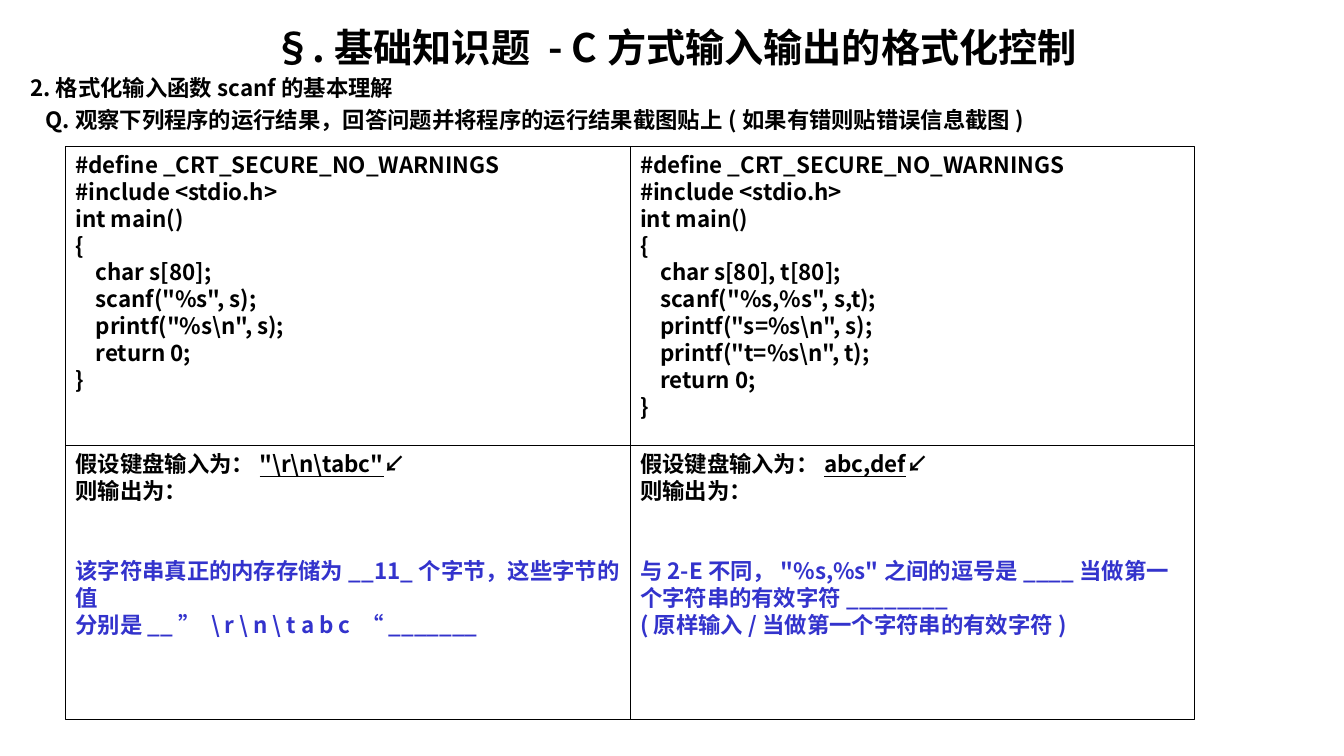
from dataclasses import dataclass

from lxml.etree import SubElement
from pptx import Presentation
from pptx.dml.color import RGBColor
from pptx.enum.shapes import MSO_SHAPE
from pptx.enum.text import MSO_ANCHOR, PP_ALIGN
from pptx.oxml.ns import qn
from pptx.util import Pt

PX = 9144


@dataclass(frozen=True)
class Theme:
    """Colours, font and type sizes of the slide."""
    font: str = "Noto Sans CJK SC"
    ink: RGBColor = RGBColor(0, 0, 0)
    accent: RGBColor = RGBColor(0x33, 0x33, 0xCC)
    title: int = 28
    body: int = 16
    rule: float = 0.75


THEME = Theme()

TITLE = "§.基础知识题 - C方式输入输出的格式化控制"
TOPIC = "2.格式化输入函数scanf的基本理解"
TASK = "Q.观察下列程序的运行结果，回答问题并将程序的运行结果截图贴上(如果有错则贴错误信息截图)"

SINGLE_CODE = r'''#define _CRT_SECURE_NO_WARNINGS
#include <stdio.h>
int main()
{
    char s[80];
    scanf("%s", s);
    printf("%s\n", s);
    return 0;
}'''

DOUBLE_CODE = r'''#define _CRT_SECURE_NO_WARNINGS
#include <stdio.h>
int main()
{
    char s[80], t[80];
    scanf("%s,%s", s,t);
    printf("s=%s\n", s);
    printf("t=%s\n", t);
    return 0;
}'''

PROGRAMS = [
    (SINGLE_CODE, r'"\r\n\tabc"',
     ["该字符串真正的内存存储为__11_个字节，这些字节的值",
      r"分别是__” \ r \ n \ t a b c “_______"]),
    (DOUBLE_CODE, "abc,def",
     ['与2-E不同，"%s,%s"之间的逗号是____当做第一个字符串的有效字符________',
      "(原样输入/当做第一个字符串的有效字符)"]),
]


def add_run(p, text, size=THEME.body, color=THEME.ink, underline=False):
    """Append one bold run to a paragraph."""
    r = p.add_run()
    r.text = text
    r.font.size = Pt(size)
    r.font.bold = True
    r.font.underline = underline
    r.font.color.rgb = color
    r.font.name = THEME.font
    SubElement(r.font._element, qn("a:ea")).set("typeface", THEME.font)


def next_paragraph(tf):
    """Return the empty first paragraph, or a new one."""
    p = tf.paragraphs[0] if not tf.paragraphs[0].runs else tf.add_paragraph()
    p.alignment = PP_ALIGN.LEFT
    return p


def add_heading(s, x, y, w, h):
    """Place the title, the topic and the task in the given box."""
    tf = s.shapes.add_textbox(x * PX, y * PX, w * PX, h * PX).text_frame
    tf.word_wrap = True
    lines = [(TITLE, THEME.title, PP_ALIGN.CENTER, 0),
             (TOPIC, THEME.body, PP_ALIGN.LEFT, 0),
             (TASK, THEME.body, PP_ALIGN.LEFT, 15)]
    for i, (text, size, align, indent) in enumerate(lines):
        p = next_paragraph(tf)
        p.alignment = align
        p._p.get_or_add_pPr().set("marL", str(indent * PX))
        if i:
            p.space_before = Pt(size * 0.2)
        add_run(p, text, size)


def add_cell(s, x, y, w, h):
    """Draw an outlined cell and return its text frame."""
    sp = s.shapes.add_shape(MSO_SHAPE.RECTANGLE, x * PX, y * PX, w * PX, h * PX)
    sp.shadow.inherit = False
    sp.fill.background()
    sp.line.color.rgb = THEME.ink
    sp.line.width = Pt(THEME.rule)
    tf = sp.text_frame
    tf.word_wrap = True
    tf.vertical_anchor = MSO_ANCHOR.TOP
    return tf


def add_code(s, code, x, y, w, h):
    """Fill a cell with program lines."""
    tf = add_cell(s, x, y, w, h)
    for line in code.split("\n"):
        add_run(next_paragraph(tf), line)


def add_question(s, typed, answers, x, y, w, h):
    """Fill a cell with the keyboard input and the answers."""
    tf = add_cell(s, x, y, w, h)
    p = next_paragraph(tf)
    add_run(p, "假设键盘输入为：")
    add_run(p, typed, underline=True)
    add_run(p, "↙")
    add_run(next_paragraph(tf), "则输出为：")
    for i, answer in enumerate(answers):
        p = next_paragraph(tf)
        if i == 0:
            p.space_before = Pt(38)
        add_run(p, answer, color=THEME.accent)


def add_programs(s, x, y, w, h):
    """Set the programs side by side, each above its question."""
    col = w // len(PROGRAMS)
    code_h = 297
    for i, (code, typed, answers) in enumerate(PROGRAMS):
        left = x + i * col
        add_code(s, code, left, y, col, code_h)
        add_question(s, typed, answers, left, y + code_h, col, h - code_h)


def main():
    """Build and save the slide."""
    prs = Presentation()
    prs.slide_width, prs.slide_height = 1333 * PX, 750 * PX
    s = prs.slides.add_slide(prs.slide_layouts[6])
    add_heading(s, 20, 18, 1299, 120)
    add_programs(s, 65, 145, 1120, 569)
    prs.save("out.pptx")


if __name__ == "__main__":
    main()
